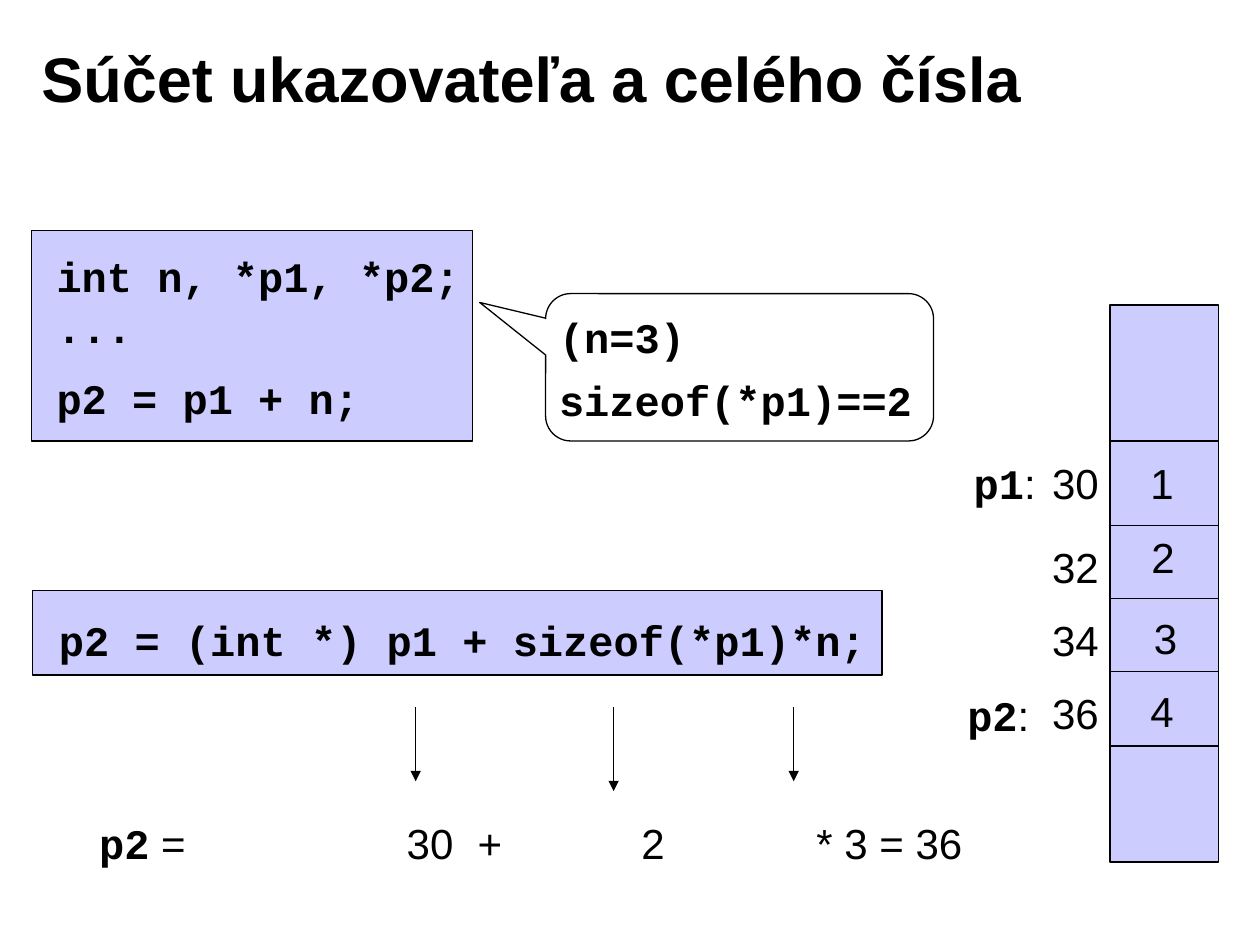
from lxml import etree
from pptx import Presentation
from pptx.dml.color import RGBColor
from pptx.enum.shapes import MSO_CONNECTOR, MSO_SHAPE
from pptx.enum.text import MSO_ANCHOR, PP_ALIGN
from pptx.oxml.ns import qn
from pptx.util import Cm, Pt

RECT = MSO_SHAPE.RECTANGLE
CALLOUT = MSO_SHAPE.ROUNDED_RECTANGULAR_CALLOUT
STRAIGHT = MSO_CONNECTOR.STRAIGHT
LEFT = PP_ALIGN.LEFT
MIDDLE = MSO_ANCHOR.MIDDLE

THEME = {
    "ink": RGBColor(0x00, 0x00, 0x00),
    "paper": RGBColor(0xFF, 0xFF, 0xFF),
    "memory": RGBColor(0xCC, 0xCC, 0xFF),
    "line": Pt(0.75),
    "title": {"name": "Arial", "size": Pt(36), "bold": True},
    "body": {"name": "Arial", "size": Pt(24), "bold": False},
    "code": {"name": "Courier New", "size": Pt(24), "bold": True},
}


def add_text(p, *runs):
    p.alignment = LEFT
    for text, style in runs:
        r = p.add_run()
        r.text = text
        r.font.color.rgb = THEME["ink"]
        for name, value in THEME[style].items():
            setattr(r.font, name, value)


def add_line(x1, y1, x2, y2, arrow=False):
    c = s.shapes.add_connector(STRAIGHT, Cm(x1), Cm(y1), Cm(x2), Cm(y2))
    c.line.color.rgb = THEME["ink"]
    c.line.width = THEME["line"]
    if arrow:
        ln = c.line._get_or_add_ln()
        etree.SubElement(ln, qn("a:tailEnd"), type="triangle")
    etree.SubElement(c._element.spPr, qn("a:effectLst"))


prs = Presentation()
prs.slide_width, prs.slide_height = Cm(25.4), Cm(19.05)
s = prs.slides.add_slide(prs.slide_layouts[5])

title = s.shapes.title
frame = {"left": Cm(0.58), "top": Cm(0.38), "width": Cm(20.4), "height": Cm(2.36)}
for name, value in frame.items():
    setattr(title, name, value)
title.text_frame.vertical_anchor = MIDDLE
add_text(title.text_frame.paragraphs[0], ("Súčet ukazovateľa a celého čísla", "title"))

mem_x, mem_w = 22.38, 2.18
shapes = [
    (CALLOUT, 11, 5.92, 7.82, 2.97, "paper"),
    (RECT, 0.64, 4.65, 8.89, 4.24, "memory"),
    (RECT, 0.66, 11.91, 17.12, 1.7, "memory"),
    (RECT, mem_x, 6.15, mem_w, 11.23, "memory"),
]
for kind, x, y, w, h, fill in shapes:
    sp = s.shapes.add_shape(kind, Cm(x), Cm(y), Cm(w), Cm(h))
    sp.shadow.inherit = False
    sp.fill.solid()
    sp.fill.fore_color.rgb = THEME[fill]
    sp.line.color.rgb = THEME["ink"]
    sp.line.width = THEME["line"]
    if kind == CALLOUT:
        for i, value in enumerate((-0.67, -0.44, 0.17)):
            sp.adjustments[i] = value

texts = [
    (0.89, 4.93, 8.64, [[("int n, *p1, *p2;", "code")], [("...", "code")],
                        [("p2 = p1 + n;", "code")]]),
    (11.02, 6.15, 3.5, [[("(n=3)", "code")]]),
    (11.02, 7.42, 7.62, [[("sizeof(*p1)==2", "code")]]),
    (0.94, 12.27, 17.1, [[("p2 = (int *) p1 + sizeof(*p1)*n;", "code")]]),
    (1.75, 16.36, 18.5, [[("p2", "code"), (" =\t30\t+\t2\t* 3 = 36", "body")]]),
    (19.38, 9.09, 2.34, [[("p1", "code"), (":", "body")]]),
    (19.25, 13.77, 2.34, [[("p2", "code"), (":", "body")]]),
]

dividers = [8.89, 10.59, 12.07, 13.54, 15.04]
for y in dividers:
    add_line(mem_x, y, mem_x + mem_w, y)

values = [(22.94, 9.09), (22.96, 10.59), (23.01, 12.22), (22.94, 13.69)]
for i, (x, y) in enumerate(values):
    texts.append((20.96, dividers[i] + 0.2, 1.9, [[(str(30 + 2 * i), "body")]]))
    texts.append((x, y, 1.1, [[(str(i + 1), "body")]]))

for x, y, w, paragraphs in texts:
    tf = s.shapes.add_textbox(Cm(x), Cm(y), Cm(w), Cm(1.27 * len(paragraphs))).text_frame
    tf.word_wrap = True
    for i, runs in enumerate(paragraphs):
        p = tf.add_paragraph() if i else tf.paragraphs[0]
        if i == 2:
            p.space_before = Pt(12)
        if "\t" in runs[-1][0]:
            tabs = etree.SubElement(p._p.get_or_add_pPr(), qn("a:tabLst"))
            for pos in (6.2, 7.63, 10.93, 14.46):
                etree.SubElement(tabs, qn("a:tab"), pos=str(Cm(pos)), algn="l")
        add_text(p, *runs)

for x, end in ((8.38, 15.75), (12.37, 15.95), (16, 15.75)):
    add_line(x, 14.25, x, end, arrow=True)

prs.save("out.pptx")
